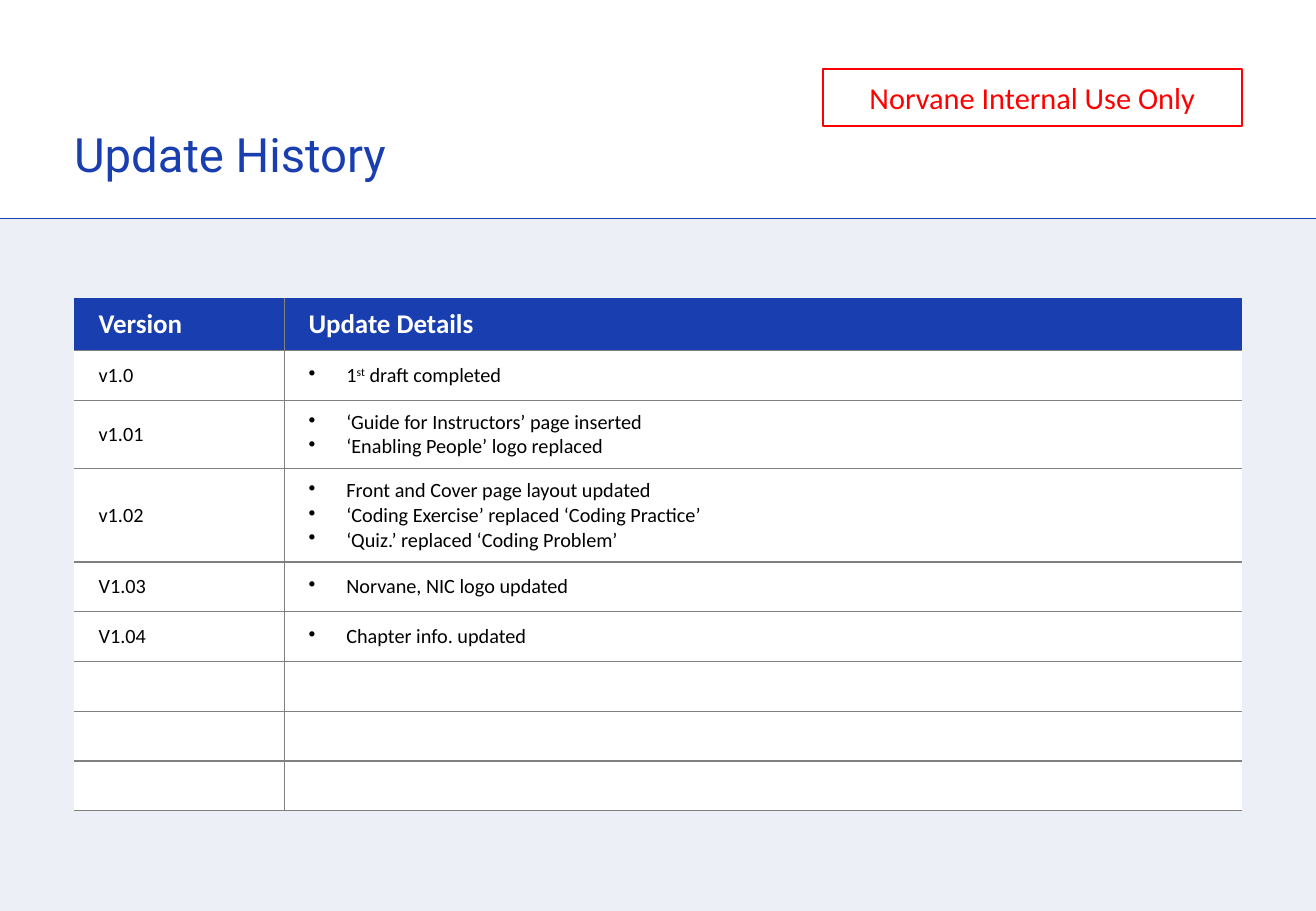
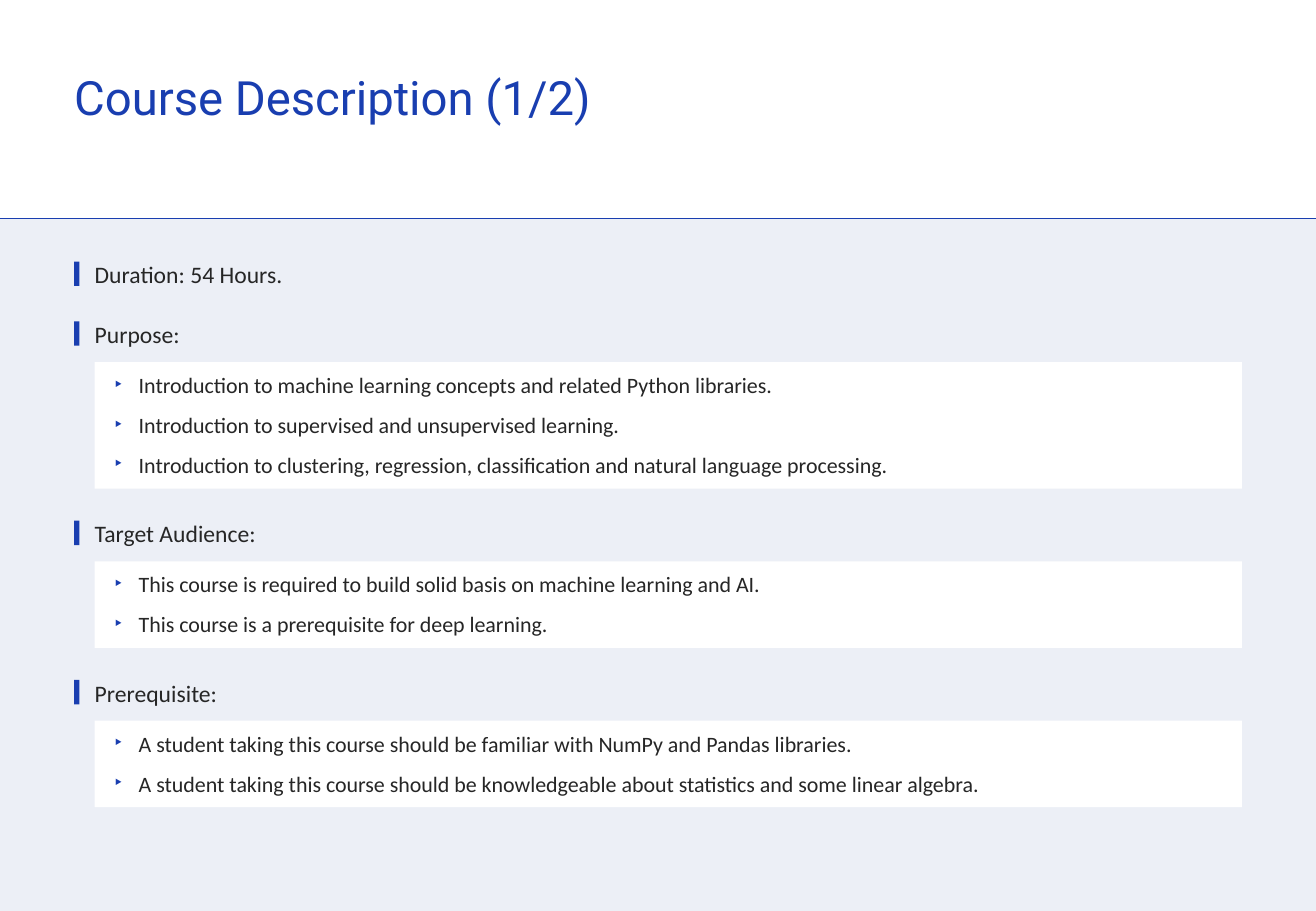
from dataclasses import dataclass
from typing import Any

from lxml import etree
from pptx import Presentation
from pptx.dml.color import RGBColor
from pptx.enum.shapes import MSO_CONNECTOR, MSO_SHAPE
from pptx.enum.text import MSO_ANCHOR, MSO_AUTO_SIZE, PP_ALIGN
from pptx.oxml.ns import qn
from pptx.util import Cm, Pt

RECT = MSO_SHAPE.RECTANGLE
STRAIGHT = MSO_CONNECTOR.STRAIGHT
TOP, MIDDLE, BOTTOM = MSO_ANCHOR.TOP, MSO_ANCHOR.MIDDLE, MSO_ANCHOR.BOTTOM
LEFT, CENTER = PP_ALIGN.LEFT, PP_ALIGN.CENTER
NO_FIT = MSO_AUTO_SIZE.NONE
TITLE_ONLY, COMPARISON = 5, 4

COLORS = {
    "blue": "193EB0",
    "band": "ECEFF6",
    "white": "FFFFFF",
    "grid": "808080",
    "red": "FF0000",
    "black": "000000",
    "text": "262626",
}
PAGE_W, PAGE_H = 27.51, 19.05
BAND_TOP = 4.57
MARGIN, CONTENT_W = 1.55, 24.41
INDENT = 0.43


@dataclass(frozen=True)
class Style:
    size: float
    color: str
    font: str = "Calibri"
    bold: bool = False


@dataclass(frozen=True)
class Bullet:
    char: str
    indent: float
    color: str


@dataclass(frozen=True)
class Update:
    version: str
    details: tuple[str, ...] = ()


@dataclass(frozen=True)
class Section:
    heading: str
    items: tuple[str, ...] = ()


TITLE = Style(28, "blue", "Roboto")
STAMP = Style(18, "red")
HEAD_CELL = Style(16, "white", bold=True)
BODY_CELL = Style(12, "black")
HEADING = Style(14, "text")
ITEM = Style(13, "text")
DOT = Bullet("•", 0.79, "black")
ARROW = Bullet("‣", 0.51, "blue")
SUPER = "^"

UPDATES = (
    Update("v1.0", ("1^st^ draft completed",)),
    Update("v1.01", ("‘Guide for Instructors’ page inserted", "‘Enabling People’ logo replaced")),
    Update("v1.02", (
        "Front and Cover page layout updated",
        "‘Coding Exercise’ replaced ‘Coding Practice’",
        "‘Quiz.’ replaced ‘Coding Problem’",
    )),
    Update("V1.03", ("Norvane, NIC logo updated",)),
    Update("V1.04", ("Chapter info. updated",)),
    *[Update("")] * 3,
)
SECTIONS = (
    Section("Duration: 54 Hours."),
    Section("Purpose:", (
        "Introduction to machine learning concepts and related Python libraries.",
        "Introduction to supervised and unsupervised learning.",
        "Introduction to clustering, regression, classification and natural language processing.",
    )),
    Section("Target Audience:", (
        "This course is required to build solid basis on machine learning and AI.",
        "This course is a prerequisite for deep learning.",
    )),
    Section("Prerequisite:", (
        "A student taking this course should be familiar with NumPy and Pandas libraries.",
        "A student taking this course should be knowledgeable about statistics and some linear algebra.",
    )),
)


def rgb(name: str) -> RGBColor:
    return RGBColor.from_string(COLORS[name])


def apply(obj: Any, values: dict[str, Any]) -> None:
    for name, value in values.items():
        setattr(obj, name, value)


def margins(x: float, y: float) -> dict[str, Any]:
    return {"margin_left": Cm(x), "margin_right": Cm(x), "margin_top": Cm(y), "margin_bottom": Cm(y)}


def place(sp: Any, x: float, y: float, w: float, h: float) -> None:
    apply(sp, {"left": Cm(x), "top": Cm(y), "width": Cm(w), "height": Cm(h)})


def paint(obj: Any, color: str) -> None:
    obj.fill.solid()
    obj.fill.fore_color.rgb = rgb(color)


def add_color(parent: Any, tag: str, color: str) -> None:
    el = etree.SubElement(parent, qn(tag))
    etree.SubElement(el, qn("a:srgbClr"), val=COLORS[color])


def add_bullet(p: Any, bullet: Bullet) -> None:
    pPr = p._p.get_or_add_pPr()
    pPr.set("marL", str(Cm(bullet.indent)))
    pPr.set("indent", str(-Cm(bullet.indent)))
    add_color(pPr, "a:buClr", bullet.color)
    etree.SubElement(pPr, qn("a:buChar"), char=bullet.char)


def write(tf: Any, lines: tuple[str, ...], style: Style, bullet: Bullet | None = None,
          align: Any = LEFT, after: float = 0) -> None:
    for i, line in enumerate(lines):
        p = tf.add_paragraph() if i else tf.paragraphs[0]
        if bullet:
            add_bullet(p, bullet)
        apply(p, {"alignment": align, "space_before": Pt(0), "space_after": Pt(after)})
        for j, part in enumerate(line.split(SUPER)):
            r = p.add_run()
            r.text = part
            apply(r.font, {"name": style.font, "size": Pt(style.size), "bold": style.bold})
            r.font.color.rgb = rgb(style.color)
            if j % 2:
                r._r.get_or_add_rPr().set("baseline", "30000")


def frame(sp: Any, anchor: Any, x: float = 0, y: float = 0) -> Any:
    tf = sp.text_frame
    apply(tf, {"word_wrap": True, "auto_size": NO_FIT, "vertical_anchor": anchor, **margins(x, y)})
    return tf


def add_rect(slide: Any, x: float, y: float, w: float, h: float, color: str) -> Any:
    sp = slide.shapes.add_shape(RECT, Cm(x), Cm(y), Cm(w), Cm(h))
    sp.shadow.inherit = False
    paint(sp, color)
    sp.line.fill.background()
    return sp


def add_page(prs: Any, layout: int, title: str, title_top: float, anchor: Any) -> Any:
    slide = prs.slides.add_slide(prs.slide_layouts[layout])
    band = add_rect(slide, 0, BAND_TOP, PAGE_W, PAGE_H - BAND_TOP, "band")
    rule = slide.shapes.add_connector(STRAIGHT, 0, Cm(BAND_TOP), Cm(PAGE_W), Cm(BAND_TOP))
    rule.line.width = Pt(0.5)
    rule.line.color.rgb = rgb("blue")
    etree.SubElement(rule._element.spPr, qn("a:effectLst"))
    for i, sp in enumerate((band, rule), start=2):
        sp._element.getparent().insert(i, sp._element)
    sp = slide.shapes.title
    place(sp, MARGIN, title_top, CONTENT_W, 1.19)
    write(frame(sp, anchor), (title,), TITLE)
    return slide


def add_borders(cell: Any, sides: str) -> None:
    tcPr = cell._tc.get_or_add_tcPr()
    for side in "LRTB":
        ln = etree.SubElement(tcPr, qn(f"a:ln{side}"), w=str(Pt(0.75)))
        if side in sides:
            add_color(ln, "a:solidFill", "grid")
        else:
            etree.SubElement(ln, qn("a:noFill"))


def fill_cell(cell: Any, lines: tuple[str, ...], style: Style, color: str, sides: str,
              bullet: Bullet | None) -> None:
    add_borders(cell, sides)
    paint(cell, color)
    if any(lines):
        apply(cell, {"vertical_anchor": MIDDLE, **margins(0.51, 0.2)})
        write(cell.text_frame, lines, style, bullet)


def add_updates(slide: Any) -> None:
    heights = [1.04] + [max(1.04, 0.36 + 0.52 * len(u.details)) for u in UPDATES]
    table = slide.shapes.add_table(len(heights), 2, Cm(MARGIN), Cm(6.24), Cm(CONTENT_W), Cm(sum(heights))).table
    table.horz_banding = False
    for col, width in zip(table.columns, (4.39, 20.02)):
        col.width = Cm(width)
    for row, height in zip(table.rows, heights):
        row.height = Cm(height)
    for r, update in enumerate((Update("Version", ("Update Details",)), *UPDATES)):
        style, color, bullet, sides = (BODY_CELL, "white", DOT, "TB") if r else (HEAD_CELL, "blue", None, "B")
        fill_cell(table.cell(r, 0), (update.version,), style, color, sides + "R", None)
        fill_cell(table.cell(r, 1), update.details, style, color, sides + "L", bullet)


def add_stamp(slide: Any, text: str) -> None:
    sp = add_rect(slide, 17.2, 1.45, 8.76, 1.19, "white")
    sp.fill.background()
    sp.line.color.rgb = rgb("red")
    sp.line.width = Pt(1)
    write(frame(sp, MIDDLE, 0.25, 0.13), (text,), STAMP, align=CENTER)


def add_sections(slide: Any) -> None:
    bodies = [sp for sp in slide.placeholders if sp.placeholder_format.idx > 0]
    x, w, y = MARGIN + INDENT, CONTENT_W - INDENT, 5.44
    for section in SECTIONS:
        add_rect(slide, MARGIN, y + 0.03, 0.11, 0.51, "blue")
        sp = slide.shapes.add_textbox(Cm(x), Cm(y), Cm(w), Cm(0.61))
        write(frame(sp, TOP), (section.heading,), HEADING, after=6)
        bottom = y + 0.61
        if section.items:
            body, height = bodies.pop(0), 0.13 + 0.84 * len(section.items)
            place(body, x, y + 0.88, w, height)
            paint(body, "white")
            write(frame(body, TOP, 0.41, 0.2), section.items, ITEM, ARROW, after=8)
            bottom = y + 0.88 + height
        y = bottom + 0.64
    for sp in bodies:
        sp._element.getparent().remove(sp._element)


def main() -> None:
    prs = Presentation()
    apply(prs, {"slide_width": Cm(PAGE_W), "slide_height": Cm(PAGE_H)})
    history = add_page(prs, TITLE_ONLY, "Update History", 2.62, BOTTOM)
    add_updates(history)
    add_stamp(history, "Norvane Internal Use Only")
    course = add_page(prs, COMPARISON, "Course Description (1/2)", 1.42, TOP)
    add_sections(course)
    prs.save("out.pptx")


if __name__ == "__main__":
    main()
